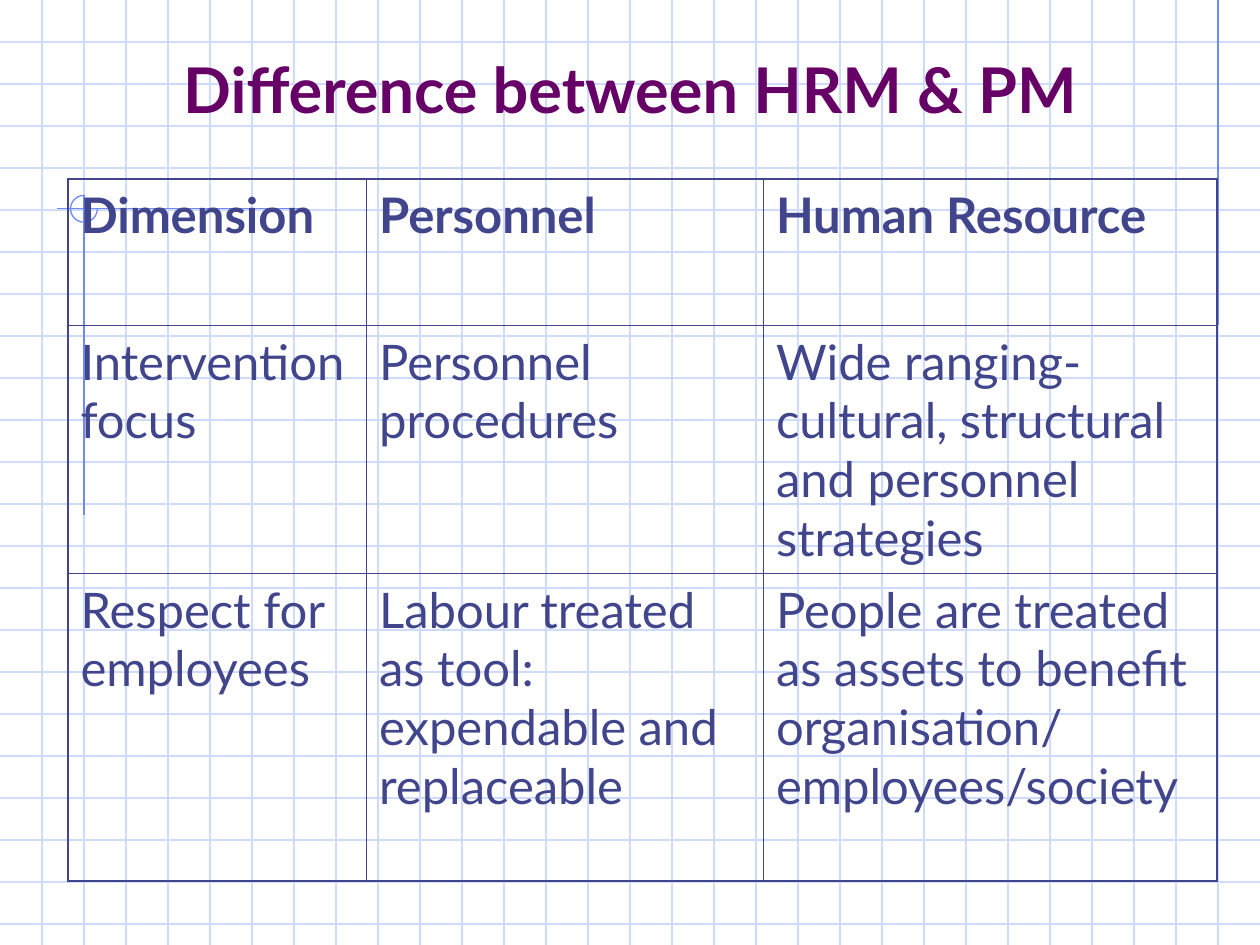
from lxml import etree
from pptx import Presentation
from pptx.dml.color import RGBColor
from pptx.enum import shapes, text
from pptx.oxml import ns
from pptx.util import Cm, Pt

GRID_BLUE, ACCENT_BLUE, INK, PLUM = "CFDBFD", "6F89F7", "40458C", "660066"
WIDTH, HEIGHT = 25.4, 19.05
PITCH = 2.54 / 3
THIN, THICK = 0.45, 1.08

COLUMNS = [6.02, 8, 9.14]
ROWS = [2.95, 5, 6.2]
COMPARISON = [
    ["Dimension", "Personnel", "Human Resource"],
    ["Intervention focus", "Personnel procedures",
     "Wide ranging- cultural, structural and personnel strategies"],
    ["Respect for employees",
     "Labour treated as tool: expendable and replaceable",
     "People are treated as assets to benefit organisation/ employees/society"],
]


def colour(value):
    return RGBColor.from_string(value)


def set_font(paragraph, hue, **formats):
    for name, value in formats.items():
        setattr(paragraph.font, name, value)
    paragraph.font.name = "Lato"
    paragraph.font.color.rgb = colour(hue)


def add_line(slide, x1, y1, x2, y2, hue):
    line = slide.shapes.add_connector(
        shapes.MSO_CONNECTOR.STRAIGHT, Cm(x1), Cm(y1), Cm(x2), Cm(y2))
    line.line.color.rgb = colour(hue)
    line.line.width = Pt(0.75)
    etree.SubElement(line._element.spPr, ns.qn("a:effectLst"))


def add_graph_paper(slide, left, top, width, height):
    for step in range(1, int(height / PITCH) + 1):
        y = top + step * PITCH
        add_line(slide, left, y, left + width, y, GRID_BLUE)
    for step in range(1, int(width / PITCH - 0.01) + 1):
        x = left + step * PITCH
        add_line(slide, x, top, x, top + height, GRID_BLUE)


def add_crosshair(slide, x, y, radius):
    """Two crossing rules and a three-quarter circle centred on x, y."""
    add_line(slide, x + 4.4, y, x - 0.55, y, ACCENT_BLUE)
    add_line(slide, x, y - radius, x, y + 6.18, ACCENT_BLUE)
    ring = slide.shapes.add_shape(
        shapes.MSO_SHAPE.ARC, Cm(x - radius), Cm(y - radius),
        Cm(2 * radius), Cm(2 * radius))
    ring.adjustments[0] = 0
    ring.adjustments[1] = 270 * 60000 / 100000
    ring.shadow.inherit = False
    ring.fill.background()
    ring.line.color.rgb = colour(ACCENT_BLUE)
    ring.line.width = Pt(0.75)


def add_title(slide, left, top, width, height):
    title = slide.shapes.add_textbox(Cm(left), Cm(top), Cm(width), Cm(height))
    frame = title.text_frame
    frame.word_wrap = True
    frame.vertical_anchor = text.MSO_ANCHOR.MIDDLE
    heading = frame.paragraphs[0]
    heading.text = "Difference between HRM & PM"
    heading.alignment = text.PP_ALIGN.CENTER
    set_font(heading, PLUM, size=Pt(36), bold=True)


def set_borders(cell, widths):
    properties = cell._tc.get_or_add_tcPr()
    for side, width in widths.items():
        border = etree.SubElement(
            properties, ns.qn(f"a:ln{side}"), w=str(int(Pt(width))))
        fill = etree.SubElement(border, ns.qn("a:solidFill"))
        etree.SubElement(fill, ns.qn("a:srgbClr"), val=INK)


def add_comparison(slide, left, top):
    table = slide.shapes.add_table(
        len(ROWS), len(COLUMNS), Cm(left), Cm(top),
        Cm(sum(COLUMNS)), Cm(sum(ROWS))).table
    table.first_row = table.horz_banding = False
    for column, width in zip(table.columns, COLUMNS):
        column.width = Cm(width)
    last_row, last_column = len(ROWS) - 1, len(COLUMNS) - 1
    for r, entries in enumerate(COMPARISON):
        table.rows[r].height = Cm(ROWS[r])
        for c, entry in enumerate(entries):
            cell = table.cell(r, c)
            cell.text = entry
            set_font(cell.text_frame.paragraphs[0], INK,
                     size=Pt(28), bold=r == 0)
            outer = {"L": c == 0, "R": c == last_column,
                     "T": r == 0, "B": r == last_row}
            set_borders(cell, {side: THICK if edge else THIN
                               for side, edge in outer.items()})
            cell.fill.background()


def main():
    deck = Presentation()
    deck.slide_width, deck.slide_height = Cm(WIDTH), Cm(HEIGHT)
    slide = deck.slides.add_slide(deck.slide_layouts[6])
    add_graph_paper(slide, 0, 0, WIDTH, HEIGHT)
    add_line(slide, WIDTH - PITCH, 0, WIDTH - PITCH, 6.55, ACCENT_BLUE)
    add_crosshair(slide, 2 * PITCH, 4.21, 0.27)
    add_title(slide, 1.37, 0.84, 22.66, 1.9)
    add_comparison(slide, 1.37, 3.61)
    deck.save("out.pptx")


if __name__ == "__main__":
    main()
